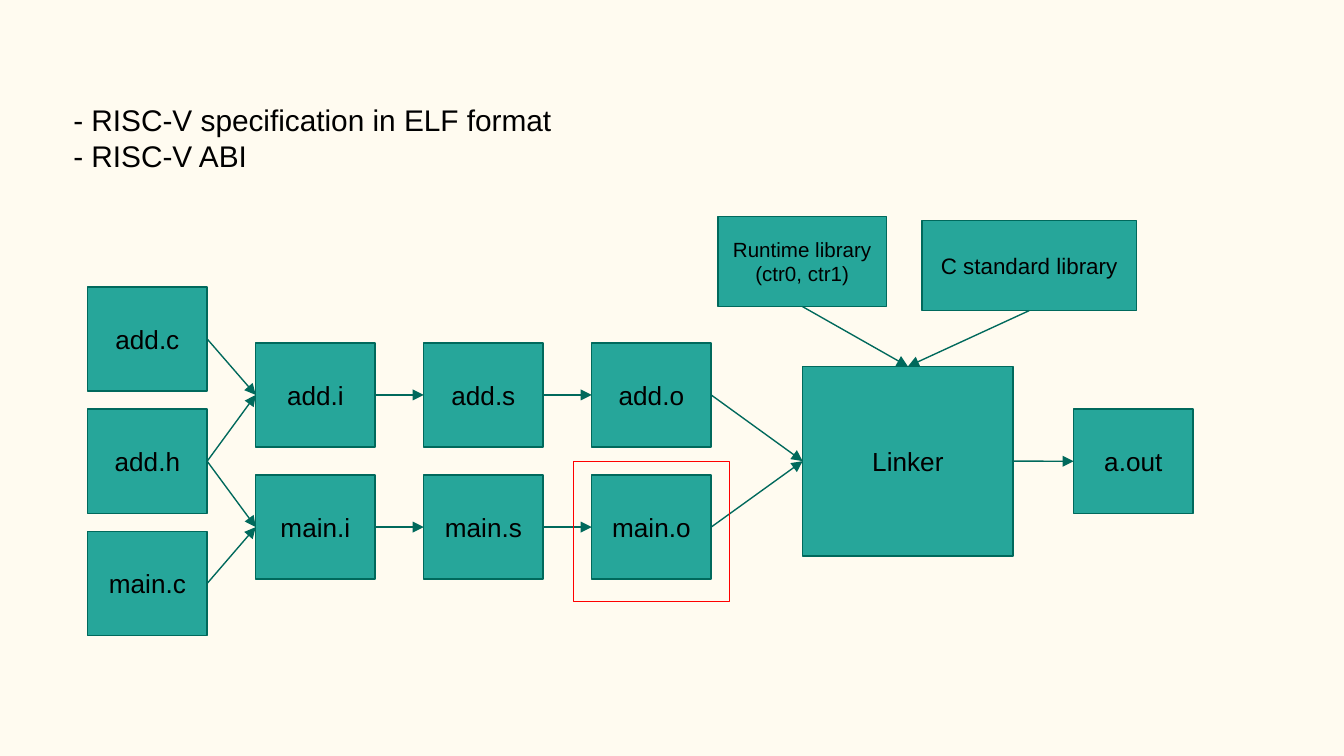
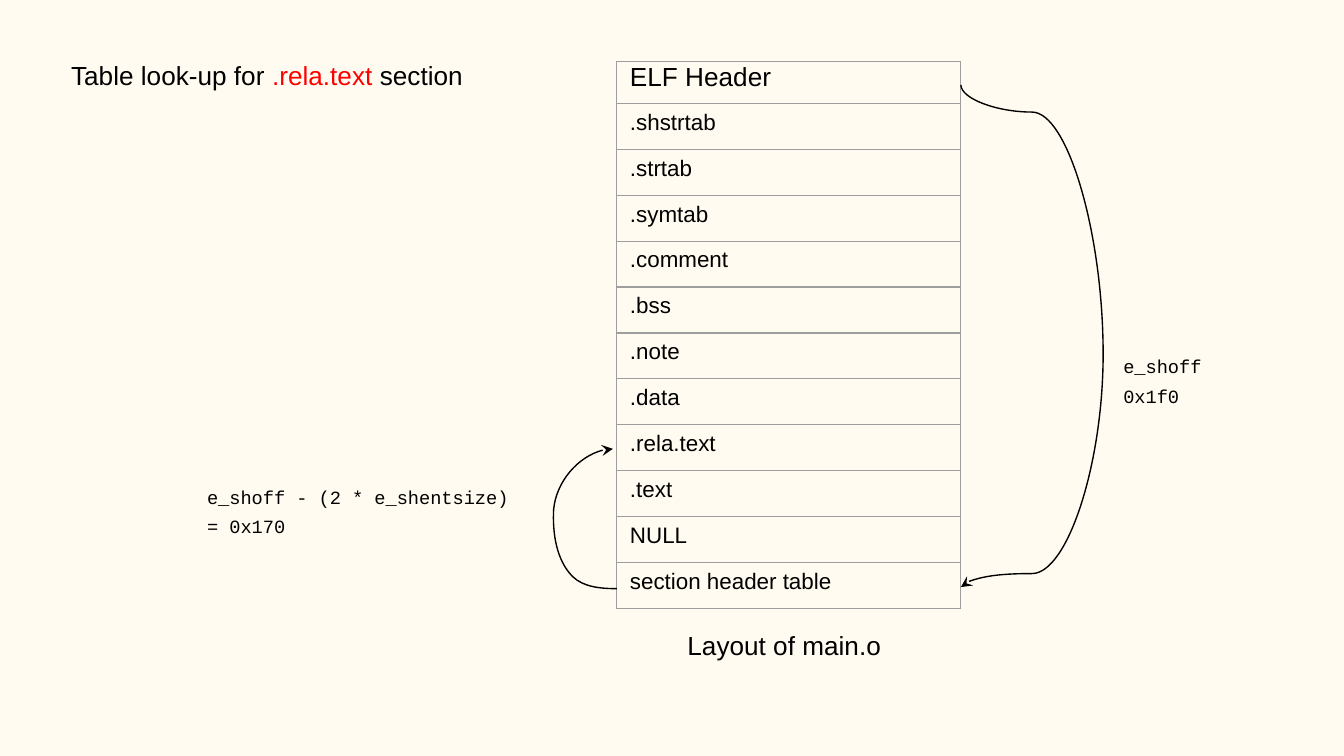
from typing import Any, NamedTuple

from lxml.etree import SubElement
from pptx import Presentation
from pptx.dml.color import RGBColor
from pptx.enum.shapes import MSO_CONNECTOR, MSO_SHAPE
from pptx.enum.text import MSO_ANCHOR, MSO_AUTO_SIZE, PP_ALIGN
from pptx.oxml.ns import qn
from pptx.util import Pt

PAPER, TEAL, DEEP = "FFFBF0", "26A69A", "00695C"
BLACK, RED, GREY = "000000", "FF0000", "9E9E9E"
SANS, MONO = "Arial", "Courier New"
THIN = 0.75
TOP, LEFT, BASE, RIGHT = range(4)


class Box(NamedTuple):
    """A labelled block of the build flow, in points."""
    name: str
    x: float
    y: float
    w: float = 64
    h: float = 55.8
    size: float = 14


class Link(NamedTuple):
    """An arrow between the sides of two blocks."""
    start: str
    end: str
    out: int = RIGHT
    into: int = LEFT


class Note(NamedTuple):
    """A text box whose lines are lists of text and colour pairs."""
    x: float
    y: float
    w: float
    h: float
    lines: list[list[tuple[str, str]]]
    size: float = 14
    font: str = SANS
    space: float | None = None


class Bend(NamedTuple):
    """A curved connector that leaves its start vertically."""
    x: float
    y: float
    endx: float
    endy: float
    bias: int
    head: bool = False


FILES = {
    (47, 153.7, 65.5): ["add.c", "add.h", "main.c"],
    (137, 183.7, 70.8): ["add.i", "main.i"],
    (227, 183.7, 70.8): ["add.s", "main.s"],
    (317, 183.7, 70.8): ["add.o", "main.o"],
}
BOXES = [Box(name, x, y + i * step)
         for (x, y, step), names in FILES.items()
         for i, name in enumerate(names)] + [
    Box("Linker", 430, 196.3, 112.8, 101.5),
    Box("a.out", 575.2, 219.2),
    Box("Runtime library (ctr0, ctr1)", 384.7, 116, 90.2, 48.2, 11),
    Box("C standard library", 494, 118.2, 114.8, 48.2, 12),
]
LINKS = [
    Link("add.c", "add.i"), Link("add.h", "add.i"),
    Link("add.h", "main.i"), Link("main.c", "main.i"),
    *(Link(f"{stem}.{a}", f"{stem}.{b}")
      for stem in ("add", "main") for a, b in ("is", "so")),
    Link("add.o", "Linker"), Link("main.o", "Linker"),
    Link("Linker", "a.out"),
    Link("Runtime library (ctr0, ctr1)", "Linker", BASE, TOP),
    Link("C standard library", "Linker", BASE, TOP),
]
PARTS = ["ELF Header", ".shstrtab", ".strtab", ".symtab", ".comment", ".bss",
         ".note", ".data", ".rela.text", ".text", "NULL",
         "section header table"]
TOPICS = Note(32.2, 47.5, 434, 53.3, [
    [("- RISC-V specification in ELF format", BLACK)],
    [("- RISC-V ABI", BLACK)]], 16)
NOTES = [
    Note(594.7, 179.3, 98, 42.5,
         [[("e_shoff", BLACK)], [("0x1f0", BLACK)]], 10, MONO, 1.31),
    Note(103.9, 249.3, 247.7, 42.5,
         [[("e_shoff - (2 * e_shentsize)", BLACK)], [("= 0x170", BLACK)]],
         10, MONO, 1.31),
    Note(31, 24.5, 247.7, 31.7,
         [[("Table look-up for ", BLACK), (".rela.text", RED),
           (" section", BLACK)]]),
    Note(361.2, 329.8, 236.2, 31.7, [[("Layout of main.o", BLACK)]]),
]
BENDS = [Bend(514.8, 45.5, 591, 189.7, 10100),
         Bend(514.8, 314.5, 591, 189.7, 5800, True)]
LOOP = [(330.5, 315.4), (321.8, 315.4), (312.5, 314.6), (306.7, 308.9),
        (298.1, 300.2), (295.9, 285.8), (296.6, 272.9),
        (298.1, 257.8), (313.2, 240.5), (328.3, 240.5)]


def apply(item: Any, form: dict[str, Any]) -> None:
    """Set each attribute named in the format."""
    for key, value in form.items():
        setattr(item, key, value)


def tint(code: str) -> RGBColor:
    """Turn a hex string into a colour."""
    return RGBColor.from_string(code)


def fill(item: Any, code: str) -> None:
    """Give an item a solid fill."""
    item.fill.solid()
    item.fill.fore_color.rgb = tint(code)


def stroke(shape: Any, code: str) -> None:
    """Give a shape a thin line."""
    shape.line.width = Pt(THIN)
    shape.line.color.rgb = tint(code)


def tip(shape: Any, kind: str, end: str = "tailEnd") -> None:
    """Put an arrowhead on one end of a line."""
    SubElement(shape._element.spPr.find(qn("a:ln")), qn(f"a:{end}"), type=kind)


def write(frame: Any, lines: list[list[tuple[str, str]]], size: float,
          font: str = SANS, **form: Any) -> None:
    """Fill a text frame with coloured runs."""
    for i, line in enumerate(lines):
        para = frame.paragraphs[0] if i == 0 else frame.add_paragraph()
        apply(para, form)
        for text, code in line:
            run = para.add_run()
            run.text = text
            apply(run.font, {"size": Pt(size), "name": font})
            run.font.color.rgb = tint(code)


def margins() -> dict[str, Any]:
    """Return the padding used in every text area."""
    return {f"margin_{side}": Pt(7.2)
            for side in ("left", "right", "top", "bottom")}


def block(slide: Any, x: float, y: float, w: float, h: float,
          code: str) -> Any:
    """Add an outlined rectangle without shadow."""
    shape = slide.shapes.add_shape(
        MSO_SHAPE.RECTANGLE, Pt(x), Pt(y), Pt(w), Pt(h))
    shape.shadow.inherit = False
    stroke(shape, code)
    return shape


def draw(slide: Any, box: Box) -> Any:
    """Add a labelled block."""
    shape = block(slide, box.x, box.y, box.w, box.h, DEEP)
    fill(shape, TEAL)
    apply(shape.text_frame, {**margins(), "word_wrap": True,
                             "vertical_anchor": MSO_ANCHOR.MIDDLE})
    write(shape.text_frame, [[(box.name, BLACK)]], box.size,
          alignment=PP_ALIGN.CENTER)
    return shape


def wire(shapes: Any, kind: Any, ends: tuple[float, ...], code: str) -> Any:
    """Add a connector without shadow."""
    line = shapes.add_connector(kind, *(Pt(end) for end in ends))
    stroke(line, code)
    SubElement(line._element.spPr, qn("a:effectLst"))
    return line


def join(slide: Any, link: Link, nodes: dict[str, Any]) -> None:
    """Add an arrow glued to two blocks."""
    line = wire(slide.shapes, MSO_CONNECTOR.STRAIGHT, (0, 0, 0, 0), DEEP)
    line.begin_connect(nodes[link.start], link.out)
    line.end_connect(nodes[link.end], link.into)
    tip(line, "triangle")


def bow(shapes: Any, bend: Bend) -> None:
    """Add a curved connector turned by a quarter."""
    midx, midy = (bend.x + bend.endx) / 2, (bend.y + bend.endy) / 2
    dx, dy = (bend.endx - bend.x) / 2, (bend.endy - bend.y) / 2
    line = wire(shapes, MSO_CONNECTOR.CURVE,
                (midx + dy, midy - dx, midx - dy, midy + dx), BLACK)
    props = line._element.spPr
    props.find(qn("a:xfrm")).set("rot", "16200000")
    SubElement(props.find(f".//{qn('a:avLst')}"), qn("a:gd"),
               name="adj1", fmla=f"val {bend.bias}")
    if bend.head:
        tip(line, "stealth", "headEnd")


def loop(slide: Any, points: list[tuple[float, float]]) -> None:
    """Add an open arrow of cubic curves."""
    spots = [(Pt(x), Pt(y)) for x, y in points]
    build = slide.shapes.build_freeform(*spots[0])
    build.add_line_segments(spots[1:], close=False)
    shape = build.convert_to_shape()
    shape.shadow.inherit = False
    shape.fill.background()
    stroke(shape, BLACK)
    tip(shape, "stealth")
    steps = list(shape._element.iter(qn("a:lnTo")))
    for i in range(0, len(steps), 3):
        curve = steps[i]
        for step in steps[i + 1:i + 3]:
            curve.append(step[0])
            step.getparent().remove(step)
        curve.tag = qn("a:cubicBezTo")


def label(slide: Any, note: Note) -> None:
    """Add a text box."""
    area = (note.x, note.y, note.w, note.h)
    frame = slide.shapes.add_textbox(*(Pt(part) for part in area)).text_frame
    apply(frame, {**margins(), "word_wrap": True,
                  "auto_size": MSO_AUTO_SIZE.SHAPE_TO_FIT_TEXT})
    write(frame, note.lines, note.size, note.font, line_spacing=note.space)


def edge(cell: Any) -> None:
    """Draw the four borders of a cell."""
    props = cell._tc.get_or_add_tcPr()
    for side in "LRTB":
        line = SubElement(props, qn(f"a:ln{side}"), w=str(Pt(THIN)))
        paint = SubElement(line, qn("a:solidFill"))
        SubElement(paint, qn("a:srgbClr"), val=GREY)


def stack(slide: Any) -> None:
    """Add the table of file sections."""
    highs = [22.5] + [24.6] * (len(PARTS) - 1)
    table = slide.shapes.add_table(len(PARTS), 1, Pt(330.3), Pt(33),
                                   Pt(184.3), Pt(sum(highs))).table
    apply(table, {"first_row": False, "horz_banding": False})
    for i, (part, high) in enumerate(zip(PARTS, highs)):
        table.rows[i].height = Pt(high)
        cell = table.cell(i, 0)
        edge(cell)
        cell.fill.background()
        apply(cell, {**margins(), "vertical_anchor": MSO_ANCHOR.MIDDLE})
        write(cell.text_frame, [[(part, BLACK)]], 12 if i else 14,
              line_spacing=0.5)


def page(deck: Any) -> Any:
    """Add a blank slide on the paper colour."""
    slide = deck.slides.add_slide(deck.slide_layouts[6])
    fill(slide.background, PAPER)
    return slide


def flow(deck: Any) -> None:
    """Build the slide of the compile and link flow."""
    slide = page(deck)
    nodes = {box.name: draw(slide, box) for box in BOXES}
    for link in LINKS:
        join(slide, link, nodes)
    label(slide, TOPICS)
    block(slide, 307.2, 247.2, 83.5, 75, RED).fill.background()


def layout(deck: Any) -> None:
    """Build the slide of the object file layout."""
    slide = page(deck)
    stack(slide)
    for note in NOTES:
        label(slide, note)
    group = slide.shapes.add_group_shape()
    for bend in BENDS:
        bow(group.shapes, bend)
    loop(slide, LOOP)


def main() -> None:
    """Build and save the deck."""
    deck = Presentation()
    apply(deck, {"slide_width": Pt(720), "slide_height": Pt(405)})
    flow(deck)
    layout(deck)
    deck.save("out.pptx")


if __name__ == "__main__":
    main()
